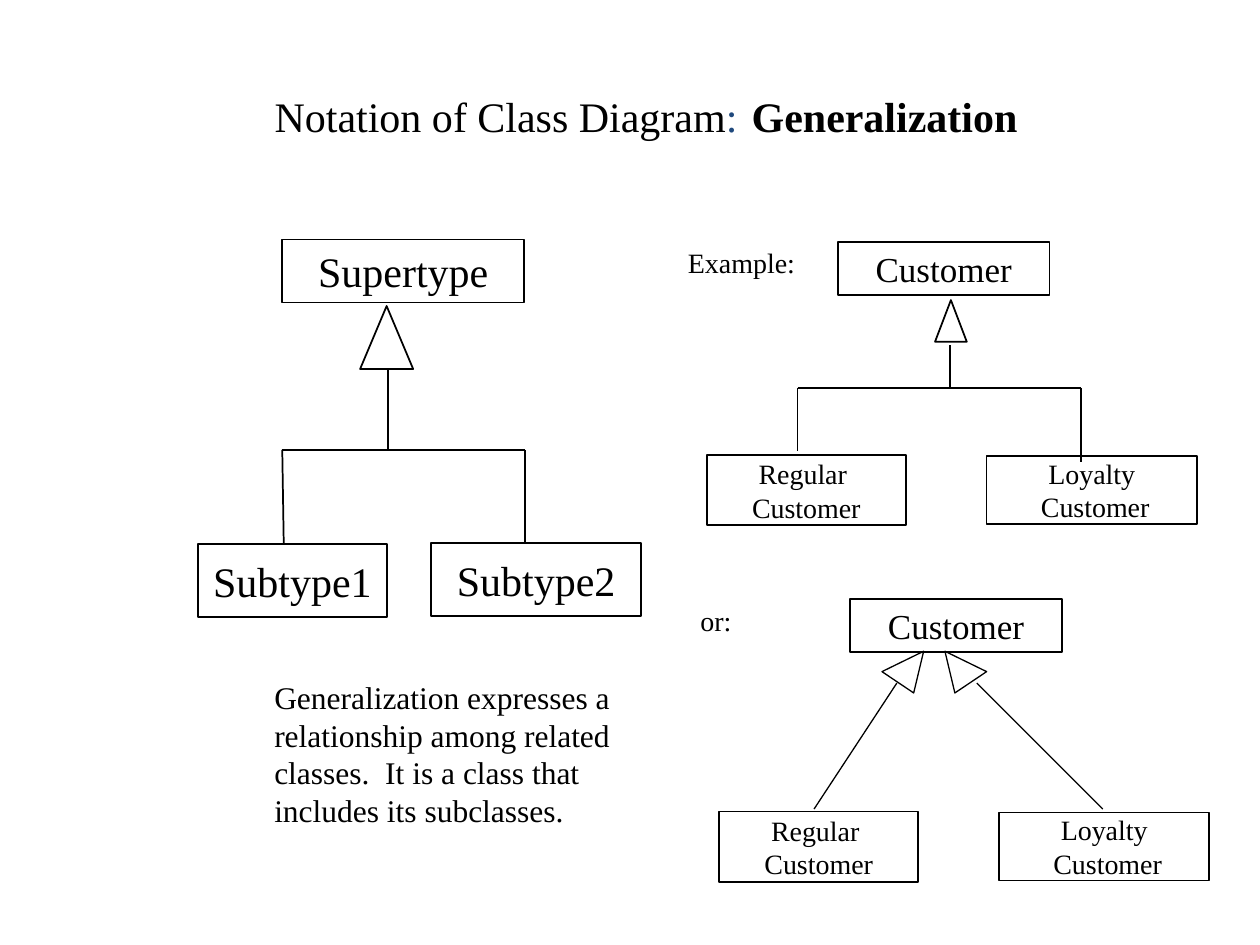
from lxml import etree
from pptx import Presentation
from pptx.dml.color import RGBColor
from pptx.enum import shapes as sh, text as tx
from pptx.oxml.ns import qn
from pptx.util import Cm, Pt

FONT = "Times New Roman"
BLACK = "000000"
TITLE = [("Notation of Class Diagram", 24, BLACK, False), (":", 24, "1F497D", False),
         (" ", 32, "1F497D", False), ("Generalization", 24, BLACK, True)]

# The example and its variant share one set of boxes, moved by a fixed step.
CLIENTS = [
    ("Customer", 20, 16.89, 4.88, 4.27, 1.07),
    ("Regular \nCustomer", 16, 14.25, 9.17, 4.01, 1.42),
    ("Loyalty\n Customer", 16, 19.89, 9.19, 4.24, 1.37),
]
STEP = (0.25, 7.19)
BOXES = [
    ("Supertype", 24, 5.69, 4.83, 4.88, 1.27),
    ("Subtype1", 24, 3.99, 10.97, 3.81, 1.47),
    ("Subtype2", 24, 8.69, 10.95, 4.24, 1.47),
] + CLIENTS + [(t, s, x + STEP[0], y + STEP[1], w, h) for t, s, x, y, w, h in CLIENTS]

NOTES = [  # text, size, left, top, width, height
    ("Generalization expresses a relationship among related classes.  "
     "It is a class that includes its subclasses.", 18, 5.28, 13.54, 8.26, 3.3),
    ("Example:", 16, 13.62, 4.83, 2.9, 0.94),
    ("or:", 16, 13.87, 12.04, 2.9, 0.94),
]
TIPS = [(7.26, 6.17, 1.07, 1.27), (18.85, 6.05, 0.64, 0.84)]
HEADS = [
    [(18.62, 13.13), (17.78, 13.54), (18.42, 13.97)],
    [(19.05, 13.13), (19.25, 13.97), (19.89, 13.54)],
]
LINES = [  # x1, y1, x2, y2, weight
    (7.82, 9.09, 7.82, 7.42, 0.75),
    (5.69, 9.07, 10.59, 9.07, 1),
    (5.69, 9.07, 5.72, 10.97, 1),
    (10.59, 9.07, 10.59, 10.97, 1),
    (19.15, 6.96, 19.15, 7.82, 1),
    (16.08, 7.82, 21.79, 7.82, 1),
    (16.08, 7.82, 16.08, 9.09, 0.75),
    (21.79, 7.82, 21.79, 9.32, 0.75),
    (16.41, 16.31, 18.08, 13.77, 0.75),
    (22.23, 16.31, 19.69, 13.77, 0.75),
]


def paint(font, size, hue=BLACK, bold=False):
    font.name, font.size, font.bold = FONT, Pt(size), bold
    font.color.rgb = RGBColor.from_string(hue)


def trace(part, width):
    """Draw the outline in black."""
    part.line.color.rgb = RGBColor.from_string(BLACK)
    part.line.width = Pt(width)


def hollow(part, width=1):
    """Leave only a black outline."""
    part.shadow.inherit = False
    part.fill.background()
    trace(part, width)


def write(part, words, size, align):
    part.text_frame.text = words
    for para in part.text_frame.paragraphs:
        para.alignment = align
        for run in para.runs:
            paint(run.font, size)


deck = Presentation()
deck.slide_width, deck.slide_height = Cm(25.4), Cm(19.05)
slide = deck.slides.add_slide(deck.slide_layouts[5])
parts = slide.shapes

title = parts.title
title.left, title.top, title.width, title.height = map(Cm, (5.28, 1.42, 17.1, 1.6))
frame = title.text_frame
frame.vertical_anchor = tx.MSO_ANCHOR.TOP
frame.auto_size = tx.MSO_AUTO_SIZE.NONE
para = frame.paragraphs[0]
para.alignment = tx.PP_ALIGN.LEFT
para.space_before = Pt(3)
for words, *look in TITLE:
    run = para.add_run()
    run.text = words
    paint(run.font, *look)

for words, size, *place in BOXES:
    box = parts.add_shape(sh.MSO_SHAPE.RECTANGLE, *map(Cm, place))
    hollow(box)
    write(box, words, size, tx.PP_ALIGN.CENTER)
    box.text_frame.word_wrap = False
    box.text_frame.vertical_anchor = tx.MSO_ANCHOR.MIDDLE

for words, size, *place in NOTES:
    note = parts.add_textbox(*map(Cm, place))
    write(note, words, size, tx.PP_ALIGN.LEFT)
    note.text_frame.word_wrap = True
    note.text_frame.paragraphs[0].space_before = Pt(2)

for place in TIPS:
    hollow(parts.add_shape(sh.MSO_SHAPE.ISOSCELES_TRIANGLE, *map(Cm, place)))

for points in HEADS:
    first, *rest = [(Cm(x), Cm(y)) for x, y in points]
    path = parts.build_freeform(*first)
    path.add_line_segments(rest, close=True)
    hollow(path.convert_to_shape(), 0.75)

for *ends, width in LINES:
    line = parts.add_connector(sh.MSO_CONNECTOR.STRAIGHT, *map(Cm, ends))
    trace(line, width)
    etree.SubElement(line._element.spPr, qn("a:effectLst"))

deck.save("out.pptx")
